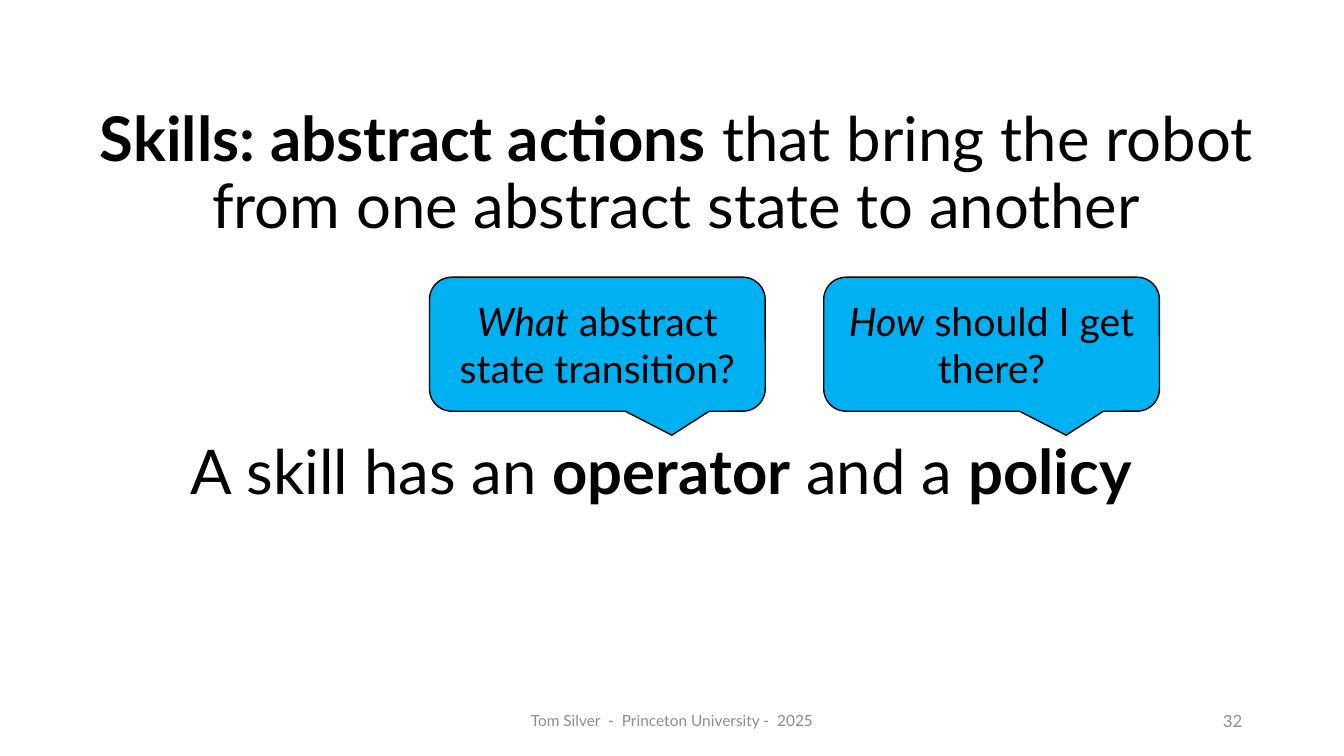
from pptx import Presentation
from pptx.dml.color import RGBColor
from pptx.enum.shapes import MSO_SHAPE
from pptx.enum.text import MSO_ANCHOR, PP_ALIGN
from pptx.util import Inches, Pt

CALLOUT = MSO_SHAPE.ROUNDED_RECTANGULAR_CALLOUT
MIDDLE = MSO_ANCHOR.MIDDLE
CENTER, RIGHT = PP_ALIGN.CENTER, PP_ALIGN.RIGHT
COLORS = {"text": "000000", "callout": "00B0F0", "footer": "8C8C8C"}
FONT = "Lato"


def color(name):
    return RGBColor.from_string(COLORS[name])


def write(shape, *spans, size, ink="text", align=CENTER, spacing=1.0):
    """Fill a shape with (text, style) spans; style is "", "bold" or "italic"."""
    frame = shape.text_frame
    frame.word_wrap = True
    frame.vertical_anchor = MIDDLE
    para = frame.paragraphs[0]
    para.alignment = align
    para.line_spacing = spacing
    for text, style in spans:
        span = para.add_run()
        span.text = text
        span.font.name = FONT
        span.font.size = Pt(size)
        span.font.bold = style == "bold"
        span.font.italic = style == "italic"
        span.font.color.rgb = color(ink)


deck = Presentation()
deck.slide_width, deck.slide_height = Inches(13.33), Inches(7.5)
page = deck.slides.add_slide(deck.slide_layouts[5])

title = page.shapes.title
title.left, title.top = Inches(0.85), Inches(1.01)
title.width, title.height = Inches(11.72), Inches(1.45)
write(title, ("Skills: abstract actions", "bold"),
      (" that bring the robot from one abstract state to another", ""),
      size=44, spacing=0.9)

statement = page.shapes.add_textbox(Inches(0.7), Inches(3.98), Inches(11.72), Inches(1.45))
write(statement, ("A skill has an ", ""), ("operator", "bold"),
      (" and a ", ""), ("policy", "bold"), size=44, spacing=0.9)

questions = [
    (4.26, "What", " abstract state transition?"),
    (8.17, "How", " should I get there?"),
]
for left, question_word, rest in questions:
    callout = page.shapes.add_shape(CALLOUT, Inches(left), Inches(2.75), Inches(3.33), Inches(1.33))
    callout.adjustments[0] = 0.222
    callout.adjustments[1] = 0.679
    callout.adjustments[2] = 0.167
    callout.shadow.inherit = False
    callout.fill.solid()
    callout.fill.fore_color.rgb = color("callout")
    callout.line.color.rgb = color("text")
    callout.line.width = Pt(1)
    write(callout, (question_word, "italic"), (rest, ""), size=28)

page_number = page.shapes.add_textbox(Inches(9.42), Inches(6.95), Inches(3), Inches(0.4))
write(page_number, ("32", ""), size=12, ink="footer", align=RIGHT)

footer = page.shapes.add_textbox(Inches(4.04), Inches(6.95), Inches(5.25), Inches(0.4))
write(footer, ("Tom Silver  -  Princeton University -  2025", ""), size=11, ink="footer")

deck.save("out.pptx")
